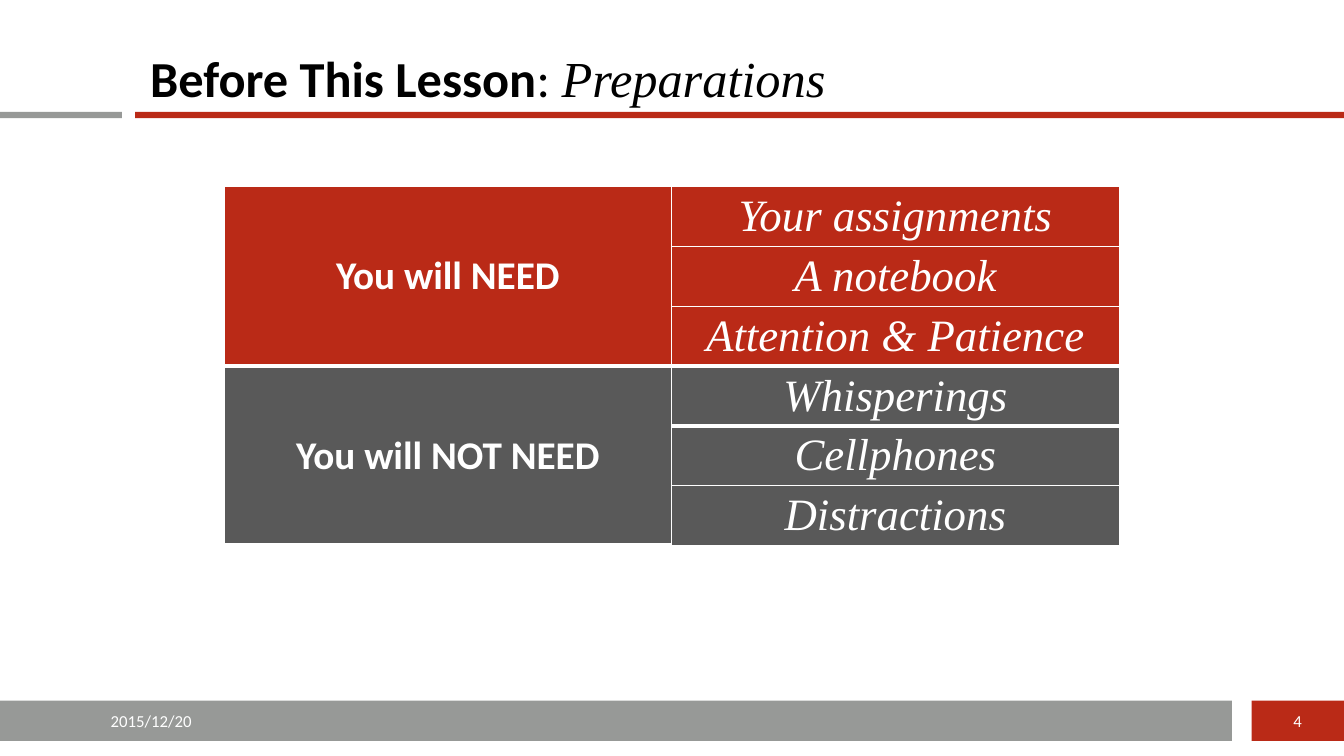
from dataclasses import dataclass

from lxml import etree
from pptx import Presentation
from pptx.dml.color import RGBColor
from pptx.enum.shapes import MSO_SHAPE
from pptx.enum.text import MSO_ANCHOR, MSO_AUTO_SIZE, PP_ALIGN
from pptx.oxml.ns import qn
from pptx.util import Pt

RECTANGLE = MSO_SHAPE.RECTANGLE
MIDDLE = MSO_ANCHOR.MIDDLE
NO_AUTOFIT = MSO_AUTO_SIZE.NONE
LEFT, CENTER = PP_ALIGN.LEFT, PP_ALIGN.CENTER
TITLE_ONLY = 5


@dataclass(frozen=True)
class Theme:
    red: str = "BA2A17"
    gray: str = "979997"
    dark: str = "595959"
    black: str = "000000"
    white: str = "FFFFFF"
    sans: str = "Calibri"
    serif: str = "Times New Roman"
    title_size: int = 36
    item_size: int = 32
    group_size: int = 28
    footer_size: int = 12
    thin: int = 1
    thick: int = 3


THEME = Theme()

BARS = [
    (894, 500.4, 66, 28.8, THEME.red),
    (0, 500.4, 880, 28.8, THEME.gray),
    (96.5, 79.9, 863.5, 4.5, THEME.red),
    (0, 79.9, 87.1, 4.5, THEME.gray),
]
GROUPS = [
    ("You will NEED", THEME.red, ["Your assignments", "A notebook", "Attention & Patience"]),
    ("You will NOT NEED", THEME.dark, ["Whisperings", "Cellphones", "Distractions"]),
]
GROUP_ROWS = 3
THICK_BELOW = {2, 3}
COLUMN_WIDTH, ROW_HEIGHT = 319.8, 42.7


def add_run(paragraph, text, size, color, font=THEME.sans, bold=False, italic=False):
    run = paragraph.add_run()
    run.text = text
    run.font.name = font
    run.font.size = Pt(size)
    run.font.bold = bold
    run.font.italic = italic
    run.font.color.rgb = RGBColor.from_string(color)


def add_bar(slide, left, top, width, height, color):
    shape = slide.shapes.add_shape(RECTANGLE, Pt(left), Pt(top), Pt(width), Pt(height))
    shape.shadow.inherit = False
    shape.fill.solid()
    shape.fill.fore_color.rgb = RGBColor.from_string(color)
    shape.line.fill.background()


def add_footer_text(slide, left, width, text):
    shape = slide.shapes.add_textbox(Pt(left), Pt(500.4), Pt(width), Pt(28.8))
    frame = shape.text_frame
    frame.word_wrap = True
    frame.vertical_anchor = MIDDLE
    paragraph = frame.paragraphs[0]
    paragraph.alignment = CENTER
    add_run(paragraph, text, THEME.footer_size, THEME.white)


def fill_title(slide):
    title = slide.shapes.title
    title.left, title.top, title.width, title.height = Pt(100), Pt(5.8), Pt(828), Pt(104.4)
    frame = title.text_frame
    frame.auto_size = NO_AUTOFIT
    frame.vertical_anchor = MIDDLE
    paragraph = frame.paragraphs[0]
    paragraph.alignment = LEFT
    paragraph.line_spacing = 0.9
    add_run(paragraph, "Before This Lesson", THEME.title_size, THEME.black, bold=True)
    add_run(paragraph, ": ", THEME.title_size, THEME.black)
    add_run(paragraph, "Preparations", THEME.title_size, THEME.black, THEME.serif, italic=True)


def set_borders(cell, top, bottom):
    properties = cell._tc.get_or_add_tcPr()
    widths = {"a:lnL": THEME.thin, "a:lnR": THEME.thin, "a:lnT": top, "a:lnB": bottom}
    for position, (tag, width) in enumerate(widths.items()):
        line = etree.Element(qn(tag), w=str(Pt(width)))
        fill = etree.SubElement(line, qn("a:solidFill"))
        etree.SubElement(fill, qn("a:srgbClr"), val=THEME.white)
        properties.insert(position, line)


def format_cell(cell, row, color):
    cell.fill.solid()
    cell.fill.fore_color.rgb = RGBColor.from_string(color)
    cell.vertical_anchor = MIDDLE
    cell.margin_top = cell.margin_bottom = Pt(2)
    top = THEME.thick if row - 1 in THICK_BELOW else THEME.thin
    bottom = THEME.thick if row in THICK_BELOW else THEME.thin
    set_borders(cell, top, bottom)


def write_cell(cell, text, size, **style):
    paragraph = cell.text_frame.paragraphs[0]
    paragraph.alignment = CENTER
    add_run(paragraph, text, size, THEME.white, **style)


def add_preparations_table(slide):
    row_count = GROUP_ROWS * len(GROUPS)
    table = slide.shapes.add_table(
        row_count, 2, Pt(160), Pt(133.4), Pt(2 * COLUMN_WIDTH), Pt(row_count * ROW_HEIGHT)
    ).table
    for column in table.columns:
        column.width = Pt(COLUMN_WIDTH)
    for row in table.rows:
        row.height = Pt(ROW_HEIGHT)
    for group, (heading, color, items) in enumerate(GROUPS):
        first = group * GROUP_ROWS
        last = first + GROUP_ROWS - 1
        for row, item in enumerate(items, first):
            format_cell(table.cell(row, 1), row, color)
            write_cell(table.cell(row, 1), item, THEME.item_size, font=THEME.serif, italic=True)
        heading_cell = table.cell(first, 0)
        heading_cell.merge(table.cell(last, 0))
        format_cell(heading_cell, first, color)
        write_cell(heading_cell, heading, THEME.group_size, bold=True)
        set_borders(table.cell(last, 0), THEME.thin, THEME.thick if last in THICK_BELOW else THEME.thin)
    set_borders_of_first_heading(table)


def set_borders_of_first_heading(table):
    properties = table.cell(0, 0)._tc.tcPr
    properties.find(qn("a:lnB")).set("w", str(Pt(THEME.thick)))


def main():
    presentation = Presentation()
    presentation.slide_width, presentation.slide_height = Pt(960), Pt(540)
    slide = presentation.slides.add_slide(presentation.slide_layouts[TITLE_ONLY])
    for bar in BARS:
        add_bar(slide, *bar)
    fill_title(slide)
    add_footer_text(slide, 0, 216, "2015/12/20")
    add_footer_text(slide, 894, 66, "4")
    add_preparations_table(slide)
    presentation.save("out.pptx")


if __name__ == "__main__":
    main()
